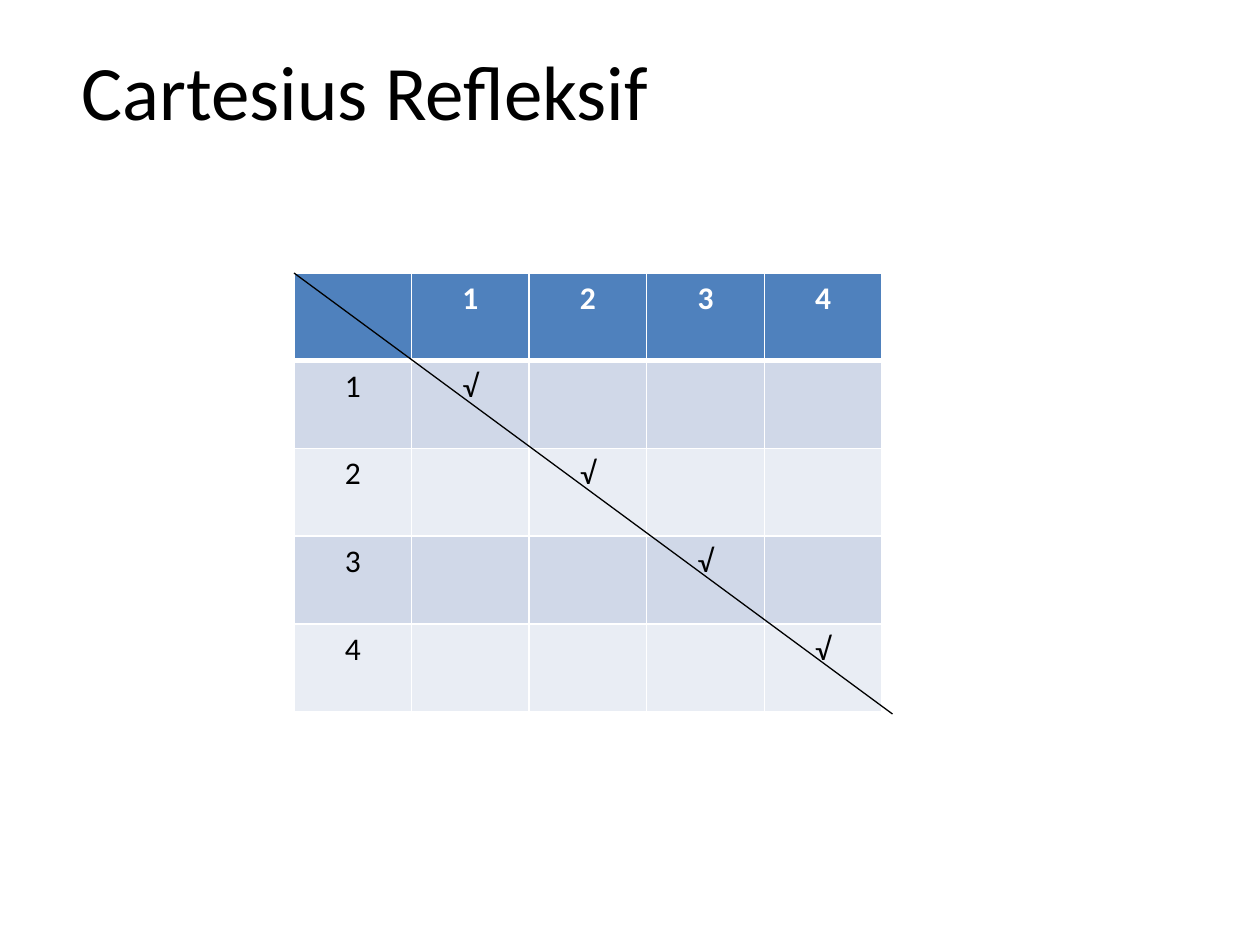
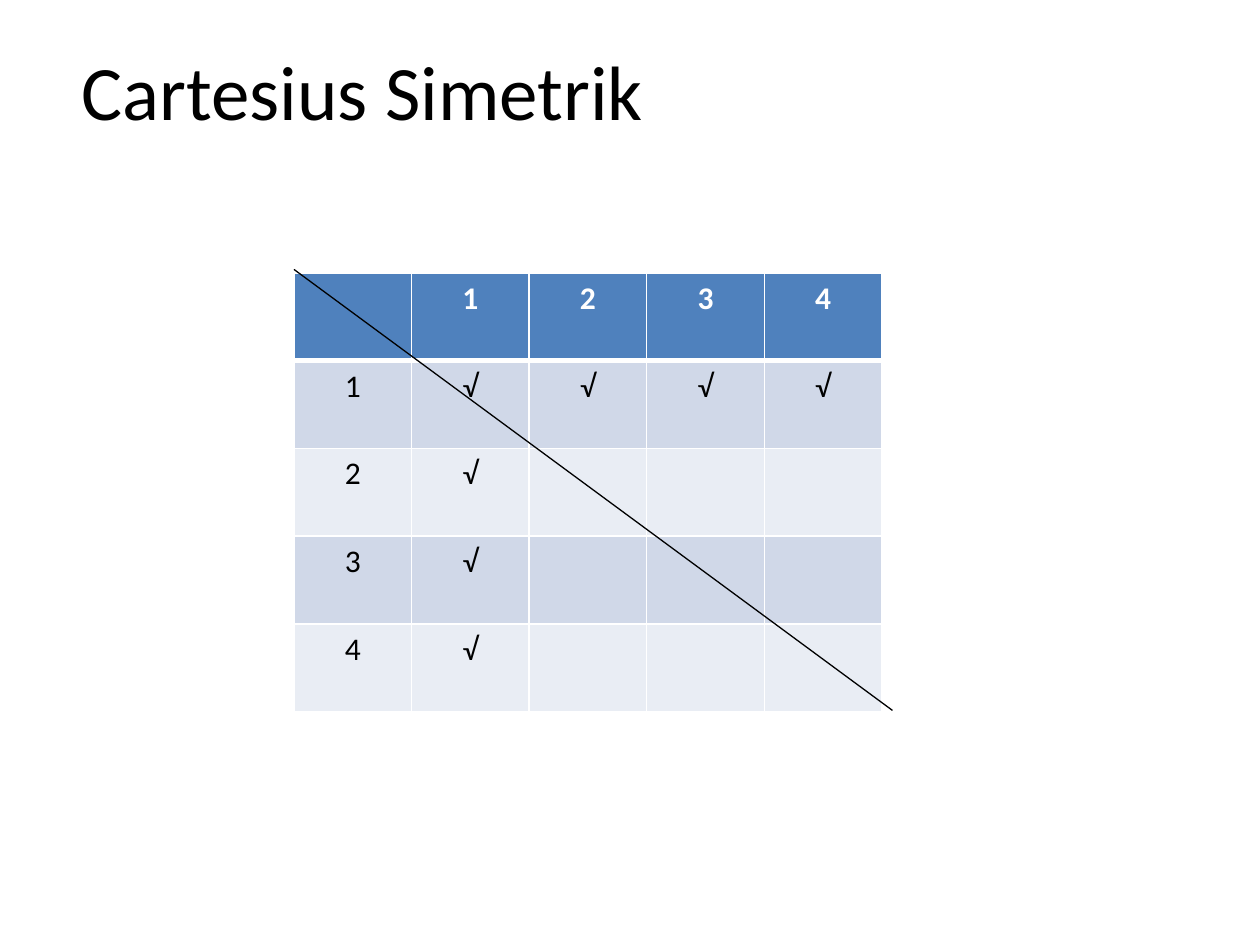
from dataclasses import dataclass

from lxml import etree
from pptx import Presentation
from pptx.dml.color import RGBColor
from pptx.enum.shapes import MSO_CONNECTOR
from pptx.enum.text import MSO_ANCHOR, PP_ALIGN
from pptx.oxml.ns import qn
from pptx.util import Emu, Inches, Pt

STRAIGHT = MSO_CONNECTOR.STRAIGHT
MIDDLE = MSO_ANCHOR.MIDDLE
LEFT, CENTER = PP_ALIGN.LEFT, PP_ALIGN.CENTER

FONT = "Calibri"
BLACK, WHITE = "000000", "FFFFFF"
HEADER = "4F81BD"
BANDS = ("E9EDF4", "D0D8E8")
TICK = "√"
ELEMENTS = range(1, 5)
SIZE = len(ELEMENTS) + 1
THIN, THICK = 1, 3

UNIT = Inches(1 / 6)
PAGE_COLUMNS, PAGE_ROWS = 60, 45


@dataclass(frozen=True)
class Area:
    column: float
    row: float
    columns: float
    rows: float

    def place(self) -> tuple[Emu, Emu, Emu, Emu]:
        return grid(self.column), grid(self.row), grid(self.columns), grid(self.rows)


@dataclass(frozen=True)
class Relation:
    title: str
    pairs: frozenset[tuple[int, int]]
    diagonal: Area


TITLE = Area(3.3, 0.5, 54, 7.5)
MATRIX = Area(14, 13, 28, 20.9)

RELATIONS = (
    Relation(
        "Cartesius Refleksif",
        frozenset((n, n) for n in ELEMENTS),
        Area(14, 13, 28.5, 21),
    ),
    Relation(
        "Cartesius Simetrik",
        frozenset((a, b) for a in ELEMENTS for b in ELEMENTS if 1 in (a, b)),
        Area(14, 12.83, 28.5, 21),
    ),
)


def grid(units: float) -> Emu:
    return Emu(round(units * UNIT))


def color(value: str) -> RGBColor:
    return RGBColor.from_string(value)


def write(frame, text: str, size: int, ink: str, align, bold: bool = False) -> None:
    para = frame.paragraphs[0]
    para.alignment = align
    span = para.add_run()
    span.text = text
    span.font.name = FONT
    span.font.size = Pt(size)
    span.font.bold = bold
    span.font.color.rgb = color(ink)


def add_title(page, text: str) -> None:
    box = page.shapes.add_textbox(*TITLE.place())
    box.text_frame.word_wrap = True
    box.text_frame.vertical_anchor = MIDDLE
    write(box.text_frame, text, 44, BLACK, LEFT)


def add_border(cell, side: str, width: float) -> None:
    properties = cell._tc.get_or_add_tcPr()
    line = etree.SubElement(properties, qn(f"a:ln{side}"), w=str(Pt(width)))
    fill = etree.SubElement(line, qn("a:solidFill"))
    etree.SubElement(fill, qn("a:srgbClr"), val=WHITE)


def cell_text(relation: Relation, row: int, column: int) -> str:
    if row == 0 or column == 0:
        return str(row or column or "")
    return TICK if (row, column) in relation.pairs else ""


def add_matrix(page, relation: Relation) -> None:
    table = page.shapes.add_table(SIZE, SIZE, *MATRIX.place()).table
    for column in table.columns:
        column.width = grid(MATRIX.columns / SIZE)
    for row in table.rows:
        row.height = grid(MATRIX.rows / SIZE)
    for row in range(SIZE):
        for column in range(SIZE):
            cell = table.cell(row, column)
            header = row == 0
            add_border(cell, "L", THIN)
            add_border(cell, "R", THIN)
            add_border(cell, "T", THICK if row == 1 else THIN)
            add_border(cell, "B", THICK if header else THIN)
            cell.fill.solid()
            cell.fill.fore_color.rgb = color(HEADER if header else BANDS[row % 2])
            text = cell_text(relation, row, column)
            if text:
                write(cell.text_frame, text, 18, WHITE if header else BLACK, CENTER, header)


def add_diagonal(page, area: Area) -> None:
    left, top, width, height = area.place()
    line = page.shapes.add_connector(STRAIGHT, left, top, left + width, top + height)
    line.line.color.rgb = color(BLACK)
    line.line.width = Pt(0.75)
    etree.SubElement(line._element.spPr, qn("a:effectLst"))


def main() -> None:
    deck = Presentation()
    deck.slide_width = grid(PAGE_COLUMNS)
    deck.slide_height = grid(PAGE_ROWS)
    for relation in RELATIONS:
        page = deck.slides.add_slide(deck.slide_layouts[6])
        add_title(page, relation.title)
        add_matrix(page, relation)
        add_diagonal(page, relation.diagonal)
    deck.save("out.pptx")


if __name__ == "__main__":
    main()
